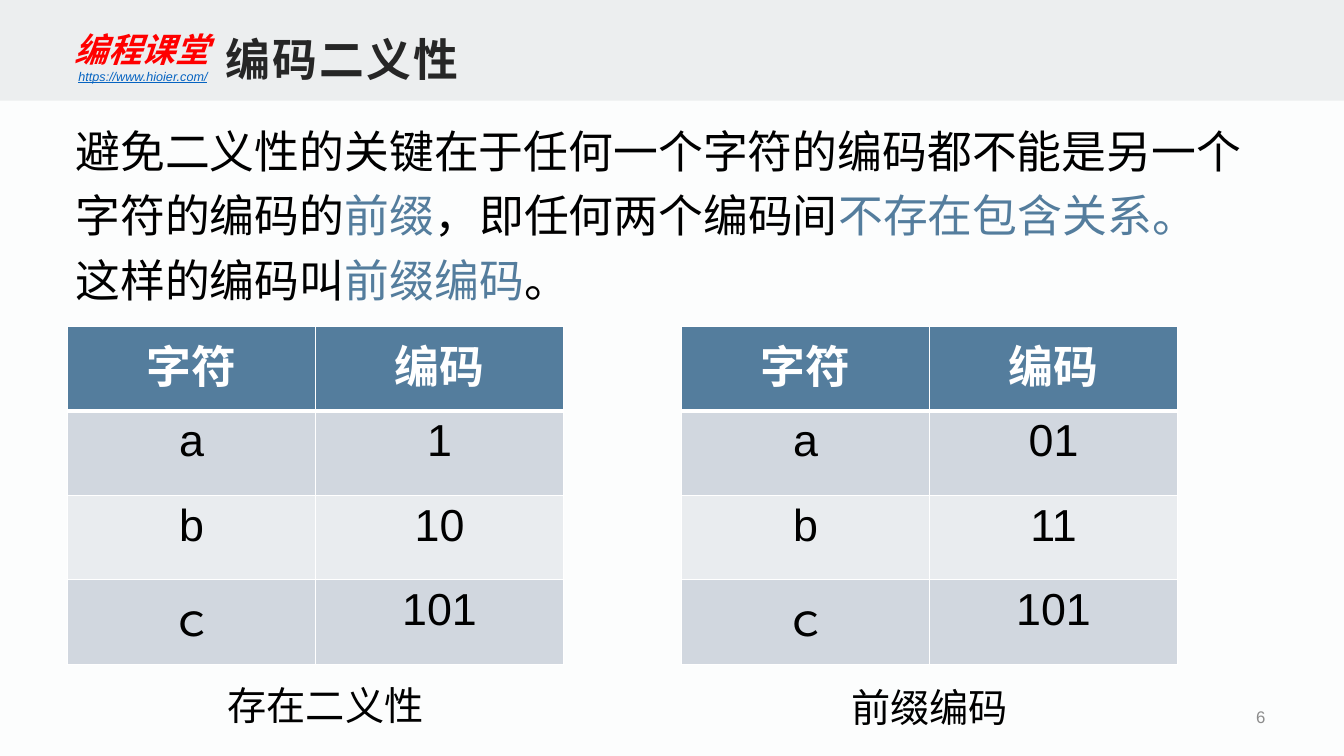
from lxml import etree
from pptx import Presentation
from pptx import util as u
from pptx.dml.color import RGBColor
from pptx.enum import shapes, text
from pptx.oxml.ns import qn

BLUE, BLACK, WHITE = "547D9D", "000000", "FFFFFF"
BAND_FILLS = ("D1D7DF", "E9ECEF")
LEFT, CENTER, RIGHT = text.PP_ALIGN.LEFT, text.PP_ALIGN.CENTER, text.PP_ALIGN.RIGHT
TOP, MIDDLE, BOTTOM = text.MSO_ANCHOR.TOP, text.MSO_ANCHOR.MIDDLE, text.MSO_ANCHOR.BOTTOM


def color(value):
    return RGBColor.from_string(value)


def paint(fill, value):
    fill.solid()
    fill.fore_color.rgb = color(value)


def write(para, spans, size, align=LEFT, **formats):
    """Fill a paragraph with (wording, colour) spans."""
    para.alignment = align
    for wording, value in spans:
        span = para.add_run()
        span.text = wording
        span.font.color.rgb = color(value)
        for name, setting in {"name": "Arial", "size": u.Pt(size), **formats}.items():
            setattr(span.font, name, setting)


def set_frame(frame, anchor=TOP, margins=(0.1, 0.05)):
    across, down = (u.Inches(margin) for margin in margins)
    settings = {
        "word_wrap": True, "auto_size": text.MSO_AUTO_SIZE.NONE, "vertical_anchor": anchor,
        "margin_left": across, "margin_right": across,
        "margin_top": down, "margin_bottom": down,
    }
    for name, setting in settings.items():
        setattr(frame, name, setting)


def add_text(page, place, paragraphs, size, anchor=TOP, margins=(0.1, 0.05),
             spacing=None, **formats):
    box = page.shapes.add_textbox(*map(u.Inches, place))
    set_frame(box.text_frame, anchor, margins)
    for index, spans in enumerate(paragraphs):
        para = box.text_frame.add_paragraph() if index else box.text_frame.paragraphs[0]
        para.line_spacing = spacing
        write(para, spans, size, **formats)


def add_header_band(page):
    band = page.shapes.add_shape(shapes.MSO_SHAPE.RECTANGLE, 0, 0,
                                 u.Inches(13.33), u.Inches(1))
    band.shadow.inherit = False
    paint(band.fill, "ECEEEF")
    band.line.fill.background()
    return band


def set_title(page, wording, place, band):
    title = page.shapes.title
    for name, length in zip(("left", "top", "width", "height"), place):
        setattr(title, name, u.Inches(length))
    set_frame(title.text_frame, BOTTOM, (0.08, 0.04))
    para = title.text_frame.paragraphs[0]
    write(para, [(wording, "262626")], 32, bold=True)
    para.runs[0].font._element.set("spc", "150")
    band.element.addnext(title.element)  # the title stands in front of the band


def add_code_table(page, left, codes):
    rows = [("字符", "编码"), *zip("abｃ", codes)]
    table = page.shapes.add_table(len(rows), 2, u.Inches(left), u.Inches(3.24),
                                  u.Inches(4.92), u.Inches(3.35)).table
    for row_index, row in enumerate(rows):
        header = row_index == 0
        for column_index, wording in enumerate(row):
            cell = table.cell(row_index, column_index)
            paint(cell.fill, BLUE if header else BAND_FILLS[(row_index - 1) % 2])
            write(cell.text_frame.paragraphs[0], [(wording, WHITE if header else BLACK)],
                  32, CENTER, bold=header)
            add_borders(cell, header, row_index == 1)


def add_borders(cell, header, below_header):
    """Draw white cell edges, thicker under the header row."""
    properties = cell._tc.get_or_add_tcPr()
    widths = {"a:lnL": 1, "a:lnR": 1, "a:lnT": 3 if below_header else 1,
              "a:lnB": 3 if header else 1}
    for position, (tag, width) in enumerate(widths.items()):
        edge = etree.Element(qn(tag), w=str(u.Pt(width)))
        fill = etree.SubElement(edge, qn("a:solidFill"))
        etree.SubElement(fill, qn("a:srgbClr"), val=WHITE)
        properties.insert(position, edge)


def main():
    deck = Presentation()
    deck.slide_width, deck.slide_height = u.Inches(13.33), u.Inches(7.5)
    page = deck.slides.add_slide(deck.slide_layouts[5])
    paint(page.background.fill, "FCFDFD")

    band = add_header_band(page)
    set_title(page, "编码二义性", (2.16, 0.22, 2.68, 0.67), band)
    add_text(page, (0.68, 0.23, 1.85, 0.52), [[("编程课堂", "FF0000")]], 24, MIDDLE,
             (0.06, 0.06), name="Calibri", bold=True, italic=True)
    add_text(page, (0.68, 0.63, 6.67, 0.25), [[("https://www.hioier.com/", "0563C1")]], 9,
             italic=True, underline=True)

    add_text(page, (0.65, 1.07, 12, 2.04), [
        [("避免二义性的关键在于任何一个字符的编码都不能是另一个字符的编码的", BLACK),
         ("前缀", BLUE), ("，即任何两个编码间", BLACK), ("不存在包含关系。", BLUE)],
        [("这样的编码叫", BLACK), ("前缀编码", BLUE), ("。", BLACK)],
    ], 32, spacing=1.2)

    add_code_table(page, 0.67, ("1", "10", "101"))
    add_code_table(page, 6.76, ("01", "11", "101"))
    add_text(page, (2.16, 6.71, 2.24, 0.57), [[("存在二义性", BLACK)]], 28)
    add_text(page, (8.1, 6.73, 2.24, 0.57), [[("前缀编码", BLACK)]], 28, align=CENTER)
    add_text(page, (9.7, 6.94, 2.95, 0.35), [[("6", "8C8C8C")]], 12, MIDDLE, align=RIGHT)
    deck.save("out.pptx")


if __name__ == "__main__":
    main()
